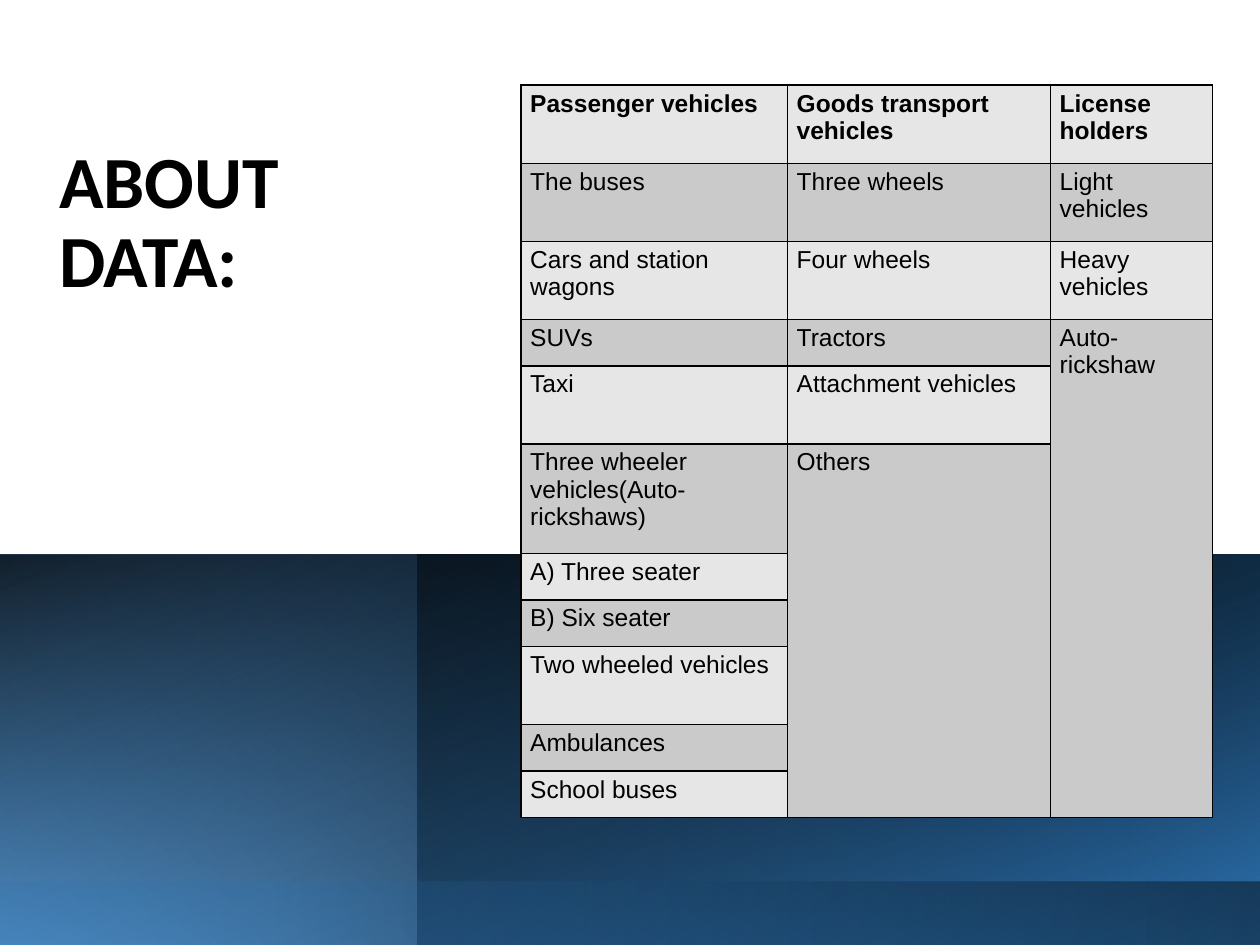
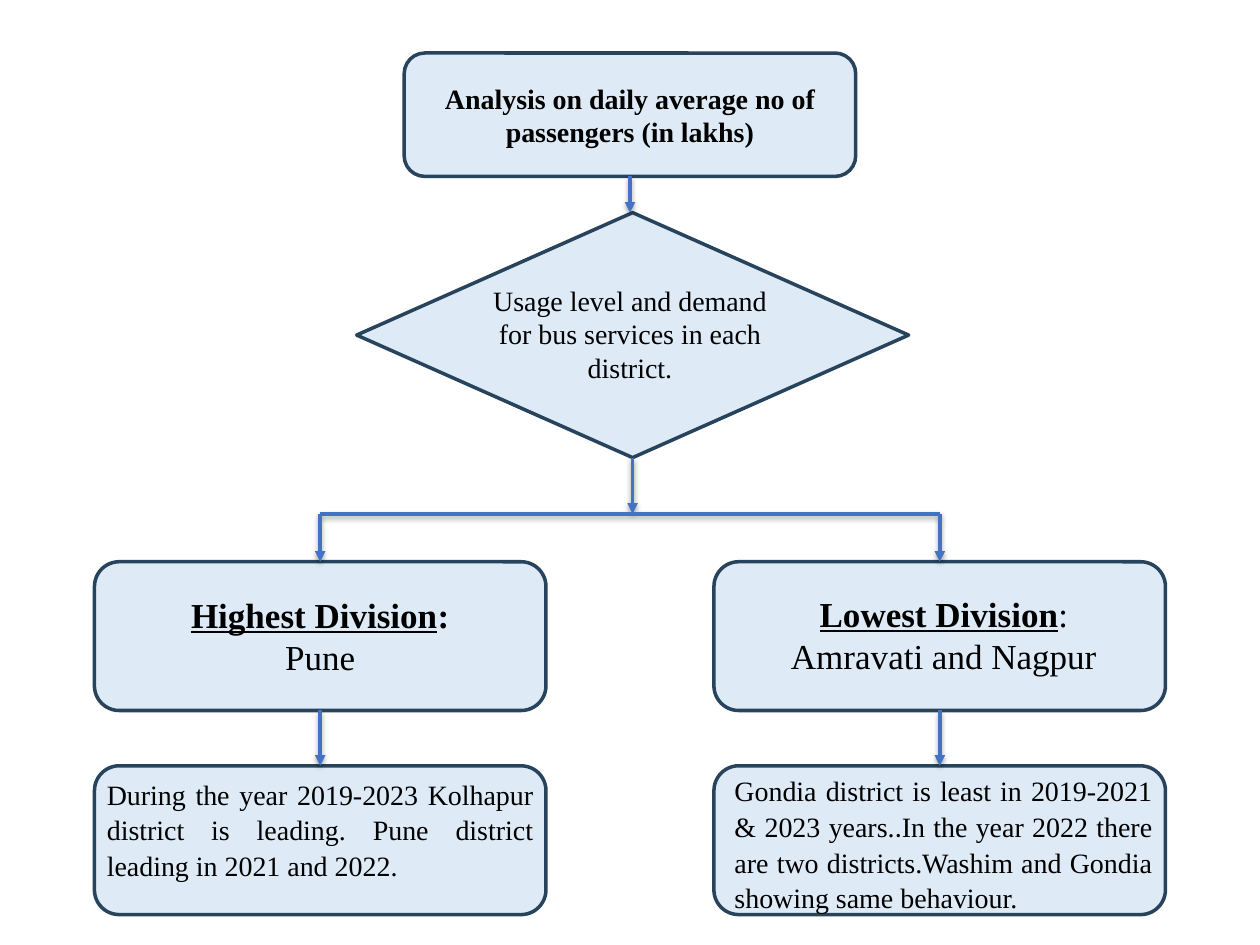
from dataclasses import dataclass
from typing import NamedTuple

from lxml import etree
from pptx import Presentation
from pptx import util as u
from pptx.dml import color
from pptx.enum import shapes, text
from pptx.oxml import ns

Pt = u.Pt
Shape = shapes.MSO_SHAPE
Align = text.PP_ALIGN


@dataclass(frozen=True)
class Theme:
    ink: str = "000000"
    white: str = "FFFFFF"
    row_light: str = "E6E6E6"
    row_dark: str = "CACACA"
    node_fill: str = "DEEBF7"
    node_line: str = "28445D"
    arrow: str = "4472C4"
    sky: str = "5B9BD5"
    blue: str = "2E75B5"
    navy: str = "1E4E79"
    title_font: str = "Calibri"
    table_font: str = "Arial"
    flow_font: str = "Times New Roman"
    title_size: float = 42
    table_size: float = 14
    flow_size: float = 16
    division_size: float = 20
    line_width: float = 2


THEME = Theme()


class Box(NamedTuple):
    left: float
    top: float
    width: float
    height: float

    def lengths(self) -> list:
        return [Pt(value) for value in self]


class Stop(NamedTuple):
    position: int
    color: str
    opacity: int = 100


class Panel(NamedTuple):
    box: Box
    angle: int
    stops: list
    rotation: int = 0


class Node(NamedTuple):
    kind: int
    box: Box


class Arrow(NamedTuple):
    start: tuple
    end: tuple
    headed: bool = True


class Words(NamedTuple):
    text: str
    size: float = THEME.flow_size
    bold: bool = False
    underline: bool = False
    font: str = THEME.flow_font


class Label(NamedTuple):
    box: Box
    paragraphs: list
    align: int = Align.CENTER
    spacing: float = 1.0
    anchor: int = text.MSO_ANCHOR.TOP


def rgb(value: str) -> color.RGBColor:
    return color.RGBColor.from_string(value)


def child(parent, tag: str, **attributes):
    element = etree.SubElement(parent, ns.qn(f"a:{tag}"))
    for name, value in attributes.items():
        element.set(name, str(value))
    return element


def add_color(parent, value: str, opacity: int = 100) -> None:
    swatch = child(parent, "srgbClr", val=value)
    if opacity < 100:
        child(swatch, "alpha", val=opacity * 1000)


def add_words(paragraph, words: Words) -> None:
    run = paragraph.add_run()
    run.text = words.text
    run.font.name = words.font
    run.font.size = Pt(words.size)
    run.font.bold = words.bold
    run.font.underline = words.underline
    run.font.color.rgb = rgb(THEME.ink)


def draw_title(slide, box: Box, words: Words) -> None:
    title = slide.shapes.title
    title.left, title.top, title.width, title.height = box.lengths()
    frame = title.text_frame
    frame.word_wrap = True
    frame.auto_size = text.MSO_AUTO_SIZE.NONE
    frame.vertical_anchor = text.MSO_ANCHOR.BOTTOM
    paragraph = frame.paragraphs[0]
    paragraph.alignment = Align.LEFT
    paragraph.line_spacing = 0.9
    add_words(paragraph, words)


def draw_panel(slide, panel: Panel) -> None:
    shape = slide.shapes.add_shape(Shape.RECTANGLE, *panel.box.lengths())
    shape.shadow.inherit = False
    shape.line.fill.background()
    shape.rotation = panel.rotation
    shape.fill.solid()
    properties = shape.element.spPr
    properties.find(ns.qn("a:xfrm")).set("flipH", "1")
    gradient = etree.Element(ns.qn("a:gradFill"), rotWithShape="1")
    stop_list = child(gradient, "gsLst")
    for stop in panel.stops:
        add_color(child(stop_list, "gs", pos=stop.position * 1000), stop.color, stop.opacity)
    child(gradient, "lin", ang=panel.angle * 60000, scaled=0)
    properties.replace(properties.find(ns.qn("a:solidFill")), gradient)


def style_cell(cell, fill: str) -> None:
    cell.margin_left = cell.margin_right = Pt(5.4)
    cell.margin_top = cell.margin_bottom = Pt(2.7)
    properties = cell._tc.get_or_add_tcPr()
    for side in ("lnL", "lnR", "lnT", "lnB"):
        border = child(properties, side, w=Pt(1))
        add_color(child(border, "solidFill"), THEME.ink)
    cell.fill.solid()
    cell.fill.fore_color.rgb = rgb(fill)


def draw_table(slide, box: Box, widths: list, heights: list, columns: list) -> None:
    table = slide.shapes.add_table(len(heights), len(widths), *box.lengths()).table
    for column, width in zip(table.columns, widths):
        column.width = Pt(width)
    for row, height in zip(table.rows, heights):
        row.height = Pt(height)
    last_row = len(heights) - 1
    for column_index, entries in enumerate(columns):
        last_entry = len(entries) - 1
        for row_index in range(len(heights)):
            shade_row = min(row_index, last_entry)
            fill = THEME.row_dark if shade_row % 2 else THEME.row_light
            style_cell(table.cell(row_index, column_index), fill)
        for row_index, entry in enumerate(entries):
            paragraph = table.cell(row_index, column_index).text_frame.paragraphs[0]
            add_words(paragraph, Words(entry, THEME.table_size, row_index == 0, font=THEME.table_font))
        if last_entry < last_row:
            table.cell(last_entry, column_index).merge(table.cell(last_row, column_index))


def draw_node(slide, node: Node) -> None:
    shape = slide.shapes.add_shape(node.kind, *node.box.lengths())
    shape.shadow.inherit = False
    shape.fill.solid()
    shape.fill.fore_color.rgb = rgb(THEME.node_fill)
    shape.line.color.rgb = rgb(THEME.node_line)
    shape.line.width = Pt(THEME.line_width)


def draw_arrow(slide, arrow: Arrow) -> None:
    ends = [Pt(value) for value in (*arrow.start, *arrow.end)]
    connector = slide.shapes.add_connector(shapes.MSO_CONNECTOR.STRAIGHT, *ends)
    connector.line.color.rgb = rgb(THEME.arrow)
    connector.line.width = Pt(THEME.line_width)
    properties = connector._element.spPr
    if arrow.headed:
        child(properties.find(ns.qn("a:ln")), "tailEnd", type="triangle")
    shadow = child(child(properties, "effectLst"), "outerShdw", blurRad=Pt(3.1),
                   dist=Pt(1.6), dir=90 * 60000, rotWithShape=0)
    add_color(shadow, THEME.ink, 38)


def draw_label(slide, label: Label) -> None:
    frame = slide.shapes.add_textbox(*label.box.lengths()).text_frame
    frame.word_wrap = True
    frame.vertical_anchor = label.anchor
    for index, line in enumerate(label.paragraphs):
        paragraph = frame.add_paragraph() if index else frame.paragraphs[0]
        paragraph.alignment = label.align
        paragraph.line_spacing = label.spacing
        for words in line:
            add_words(paragraph, words)


def add_slide(deck, layout_index: int):
    slide = deck.slides.add_slide(deck.slide_layouts[layout_index])
    slide.background.fill.solid()
    slide.background.fill.fore_color.rgb = rgb(THEME.white)
    return slide


def build_data_slide(deck) -> None:
    slide = add_slide(deck, 5)
    draw_title(slide, Box(26.6, 37.4, 244, 139.6),
               Words("ABOUT DATA:", THEME.title_size, True, font=THEME.title_font))
    band_top, band_height = 316.8, 223.2
    ink, blue, navy = THEME.ink, THEME.blue, THEME.navy
    panels = [
        Panel(Box(0, band_top, 720, band_height), 40,
              [Stop(0, THEME.sky), Stop(78, ink), Stop(100, ink)], 180),
        Panel(Box(238.3, band_top, 481.7, band_height), 110,
              [Stop(0, ink, 63), Stop(100, blue)]),
        Panel(Box(0, band_top, 723.6, band_height), 290,
              [Stop(0, navy, 0), Stop(39, navy, 0), Stop(100, ink, 72)]),
        Panel(Box(0, 504, 720, 36), 0,
              [Stop(0, ink, 43), Stop(79, blue, 22), Stop(100, blue, 22)]),
    ]
    for panel in panels:
        draw_panel(slide, panel)

    passenger = ["Passenger vehicles", "The buses", "Cars and station wagons", "SUVs", "Taxi",
                 "Three wheeler vehicles(Auto-rickshaws)", "A) Three seater", "B) Six seater",
                 "Two wheeled vehicles", "Ambulances", "School buses"]
    goods = ["Goods transport vehicles", "Three wheels", "Four wheels", "Tractors",
             "Attachment vehicles", "Others"]
    license_holders = ["License holders", "Light vehicles", "Heavy vehicles", "Auto-rickshaw"]
    one_line, two_lines, three_lines = 26.6, 44.6, 62.6
    heights = [two_lines] * 3 + [one_line, two_lines, three_lines, one_line, one_line,
                                 two_lines, one_line, one_line]
    widths = [152.3, 150.3, 92.8]
    draw_table(slide, Box(297.6, 48.7, sum(widths), sum(heights)), widths, heights,
               [passenger, goods, license_holders])


def build_flow_slide(deck) -> None:
    slide = add_slide(deck, 6)
    width, height = 258, 85
    middle, highest, lowest = 360, 183, 537
    division_top, finding_top, branch_y = 321, 437.6, 293.6
    analysis = Box(middle - width / 2, 30.3, width, 70.5)
    usage = Box(203.8, 121.5, 315.4, 140)
    usage_x = usage.left + usage.width / 2

    nodes = [Node(Shape.ROUNDED_RECTANGLE, analysis), Node(Shape.DIAMOND, usage)]
    arrows = [
        Arrow((middle, 100.8), (middle, usage.top)),
        Arrow((usage_x, usage.top + usage.height), (usage_x, branch_y)),
        Arrow((highest, branch_y), (lowest, branch_y), headed=False),
    ]
    for center in (highest, lowest):
        for top in (division_top, finding_top):
            nodes.append(Node(Shape.ROUNDED_RECTANGLE, Box(center - width / 2, top, width, height)))
        arrows.append(Arrow((center, branch_y), (center, division_top)))
        arrows.append(Arrow((center, division_top + height), (center, finding_top)))

    big = THEME.division_size
    labels = [
        Label(analysis, [[Words("Analysis on daily average no of passengers (in lakhs)", bold=True)]],
              anchor=text.MSO_ANCHOR.MIDDLE),
        Label(Box(268, 158.4, 184, 70),
              [[Words("Usage level and demand for bus services in each district.")]]),
        Label(Box(61.9, 335.5, 242, 55.5),
              [[Words("Highest Division", big, True, True), Words(":", big, True)],
               [Words("Pune", big)]]),
        Label(Box(418.3, 335, 242, 55.5),
              [[Words("Lowest Division", big, True, True), Words(":", big)],
               [Words("Amravati and Nagpur", big)]]),
        Label(Box(54, 439.2, width, 80),
              [[Words("During the year 2019-2023 Kolhapur district is leading. "
                      "Pune district leading in 2021 and 2022.")]], Align.JUSTIFY, 1.07),
        Label(Box(412.6, 437, 253, 86),
              [[Words("Gondia district is least in 2019-2021 & 2023 years."),
                Words(".", font=THEME.title_font),
                Words("In the year 2022 there are two districts.Washim and Gondia "
                      "showing same behaviour.")]], Align.JUSTIFY, 1.07),
    ]
    for node in nodes:
        draw_node(slide, node)
    for arrow in arrows:
        draw_arrow(slide, arrow)
    for label in labels:
        draw_label(slide, label)


def main() -> None:
    deck = Presentation()
    deck.slide_width, deck.slide_height = Pt(720), Pt(540)
    build_data_slide(deck)
    build_flow_slide(deck)
    deck.save("out.pptx")


if __name__ == "__main__":
    main()
